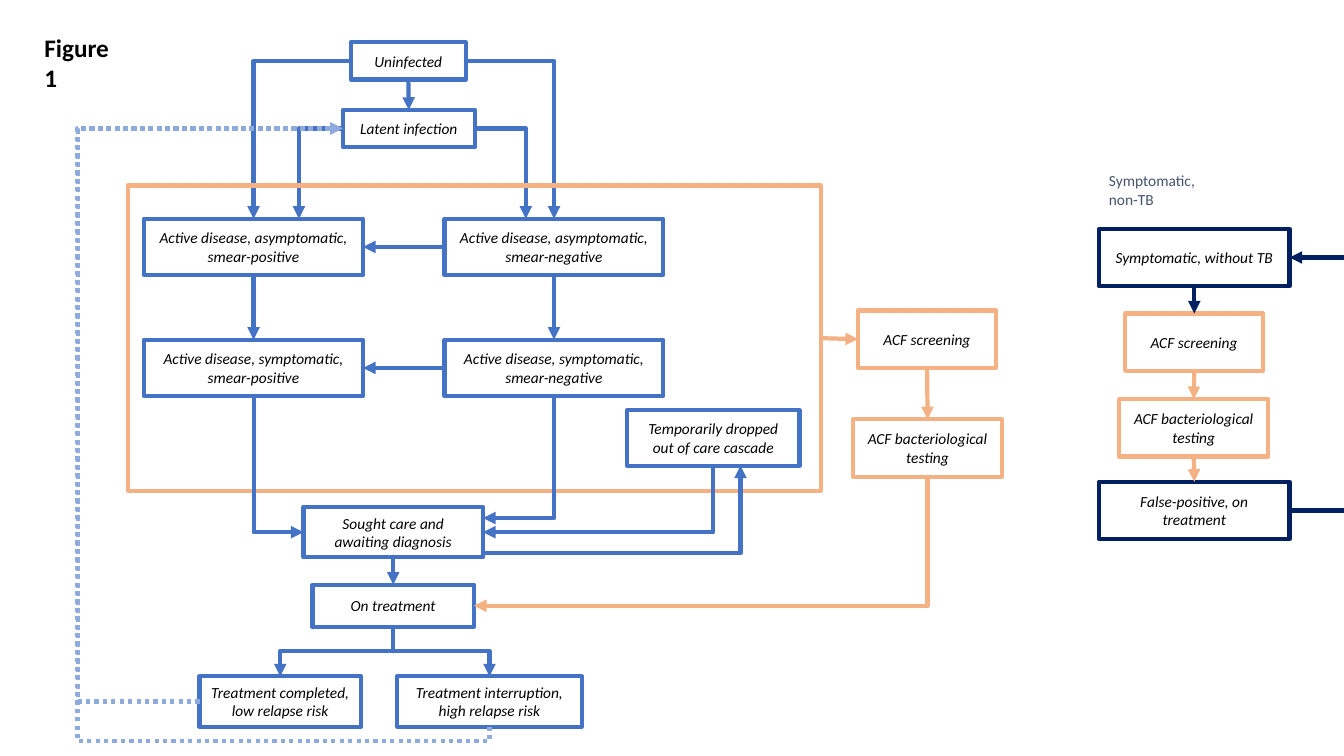
from dataclasses import dataclass
from itertools import pairwise

from lxml.etree import SubElement
from pptx import Presentation
from pptx.dml.color import RGBColor
from pptx.enum.dml import MSO_LINE
from pptx.enum.shapes import MSO_CONNECTOR, MSO_SHAPE
from pptx.enum.text import MSO_ANCHOR, MSO_AUTO_SIZE, PP_ALIGN
from pptx.oxml.ns import qn
from pptx.util import Pt

PX = 9144
TOP, LEFT, BOTTOM, RIGHT = range(4)
SLIDE_WIDTH, SLIDE_HEIGHT = 1333, 750


@dataclass(frozen=True)
class Theme:
    """Colours, font and sizes of the slide."""
    state: str = "4472C4"
    relapse: str = "8FAADC"
    screening: str = "F4B183"
    without_tb: str = "002060"
    text: str = "000000"
    label: str = "44546A"
    font: str = "Calibri"
    body_size: int = 11
    title_size: int = 18
    line_width: int = 3


@dataclass(frozen=True)
class Region:
    """Top left corner of a part of the slide, in px."""
    left: int
    top: int


THEME = Theme()


def write_text(shape, text, *, size=THEME.body_size, color=THEME.text, bold=False,
               italic=False, align=PP_ALIGN.LEFT, anchor=MSO_ANCHOR.TOP, wrap=True):
    """Write text into a shape, one paragraph a line."""
    frame = shape.text_frame
    frame.text = text
    frame.word_wrap = wrap
    frame.vertical_anchor = anchor
    for paragraph in frame.paragraphs:
        paragraph.alignment = align
        font = paragraph.font
        font.name, font.size = THEME.font, Pt(size)
        font.bold, font.italic = bold, italic
        font.color.rgb = RGBColor.from_string(color)


def add_box(slide, region, left, top, width, height, text="", color=THEME.state):
    """Add an outlined box with centred italic text."""
    shape = slide.shapes.add_shape(
        MSO_SHAPE.RECTANGLE, (region.left + left) * PX, (region.top + top) * PX,
        width * PX, height * PX)
    shape.shadow.inherit = False
    shape.fill.background()
    shape.line.color.rgb = RGBColor.from_string(color)
    shape.line.width = Pt(THEME.line_width)
    if text:
        write_text(shape, text, italic=True, align=PP_ALIGN.CENTER, anchor=MSO_ANCHOR.MIDDLE)
    return shape


def side_point(shape, side, shift=0):
    """Return the middle of a side in EMU, shifted along it by px."""
    x, y = shape.left + shape.width // 2, shape.top + shape.height // 2
    if side in (TOP, BOTTOM):
        return x + shift * PX, shape.top + (side == BOTTOM) * shape.height
    return shape.left + (side == RIGHT) * shape.width, y + shift * PX


def format_connector(connector, color, arrow=True, dotted=False):
    """Set the line, arrowhead and empty effects of a connector."""
    connector.line.color.rgb = RGBColor.from_string(color)
    connector.line.width = Pt(THEME.line_width)
    if dotted:
        connector.line.dash_style = MSO_LINE.ROUND_DOT
    if arrow:
        SubElement(connector.line._get_or_add_ln(), qn("a:tailEnd"), type="triangle")
    SubElement(connector._element.spPr, qn("a:effectLst"))


def add_straight(slide, source, source_side, target, target_side):
    """Join the middles of two sides with an arrow in the source's colour."""
    connector = slide.shapes.add_connector(MSO_CONNECTOR.STRAIGHT, 0, 0, 0, 0)
    connector.begin_connect(source, source_side)
    connector.end_connect(target, target_side)
    format_connector(connector, str(source.line.color.rgb))


def add_elbow(slide, source, source_side, target, target_side, *, source_shift=0,
              target_shift=0, rails=(), color=None, dotted=False):
    """Add a bent arrow whose inner legs lie on the given rails in px."""
    start = side_point(source, source_side, source_shift)
    end = side_point(target, target_side, target_shift)
    delta = end[0] - start[0], end[1] - start[1]
    vertical = source_side in (TOP, BOTTOM)
    turn = 1 if delta[0] < 0 else -1
    across, down = (turn * delta[1], -turn * delta[0]) if vertical else delta
    left = (start[0] + end[0] - across) // 2
    top = (start[1] + end[1] - down) // 2
    connector = slide.shapes.add_connector(
        MSO_CONNECTOR.ELBOW, left, top, left + across, top + down)
    properties = connector._element.spPr
    if vertical:
        properties.find(qn("a:xfrm")).set("rot", str(5400000 if turn == 1 else 16200000))
    geometry = properties.find(qn("a:prstGeom"))
    geometry.set("prst", f"bentConnector{len(rails) + 2}")
    adjustments = geometry.find(qn("a:avLst"))
    if adjustments is None:
        adjustments = SubElement(geometry, qn("a:avLst"))
    for index, rail in enumerate(rails):
        axis = (index + vertical) % 2
        share = round(100000 * (rail * PX - start[axis]) / delta[axis])
        SubElement(adjustments, qn("a:gd"), name=f"adj{index + 1}", fmla=f"val {share}")
    format_connector(connector, color or str(source.line.color.rgb), dotted=dotted)


def draw_title(slide):
    """Place and format the figure's title."""
    title = slide.shapes.title
    title.left, title.top, title.width, title.height = (
        value * PX for value in (34, 27, 102, 40))
    write_text(title, "Figure 1", size=THEME.title_size, bold=True, wrap=False)
    title.text_frame.auto_size = MSO_AUTO_SIZE.SHAPE_TO_FIT_TEXT


def draw_disease(slide, region):
    """Draw infection and active disease; return the boxes that lead on."""
    uninfected = add_box(slide, region, 221, 0, 114, 37, "Uninfected")
    latent = add_box(slide, region, 213, 67, 131, 37, "Latent infection")
    (early_positive, early_negative), (late_positive, late_negative) = [
        [add_box(slide, region, 16 + 298 * column, 175 + 120 * row, 217, 56,
                 f"Active disease, {stage}, smear-{smear}")
         for column, smear in enumerate(("positive", "negative"))]
        for row, stage in enumerate(("asymptomatic", "symptomatic"))]
    add_straight(slide, uninfected, BOTTOM, latent, TOP)
    for source, shifts in ((latent, (45, -28)), (uninfected, (0, 0))):
        add_elbow(slide, source, LEFT, early_positive, TOP, target_shift=shifts[0])
        add_elbow(slide, source, RIGHT, early_negative, TOP, target_shift=shifts[1])
    for negative, positive in ((early_negative, early_positive), (late_negative, late_positive)):
        add_straight(slide, negative, LEFT, positive, RIGHT)
    for early, late in ((early_positive, late_positive), (early_negative, late_negative)):
        add_straight(slide, early, BOTTOM, late, TOP)
    frame = add_box(slide, region, 0, 142, 687, 303, color=THEME.screening)
    dropped = add_box(slide, region, 495, 365, 171, 55, "Temporarily dropped out of care cascade")
    return latent, late_positive, late_negative, frame, dropped


def draw_care(slide, region, latent, positive, negative, dropped):
    """Draw diagnosis, treatment and relapse; return the treatment box."""
    sought = add_box(slide, region, 103, 0, 178, 50, "Sought care and awaiting diagnosis")
    treatment = add_box(slide, region, 112, 77, 160, 42, "On treatment")
    completed = add_box(slide, region, 0, 168, 160, 50, "Treatment completed, low relapse risk")
    interrupted = add_box(slide, region, 196, 168, 183, 50,
                          "Treatment interruption, high relapse risk")
    add_elbow(slide, positive, BOTTOM, sought, LEFT)
    add_elbow(slide, negative, BOTTOM, sought, RIGHT, target_shift=-14)
    add_elbow(slide, dropped, BOTTOM, sought, RIGHT)
    add_elbow(slide, sought, RIGHT, dropped, BOTTOM, source_shift=21, target_shift=27)
    add_straight(slide, sought, BOTTOM, treatment, TOP)
    for outcome in (completed, interrupted):
        add_elbow(slide, treatment, BOTTOM, outcome, TOP, rails=(region.top + 143,))
    side_rail, floor_rail = region.left - 121, region.top + 232
    relapse = {"color": THEME.relapse, "dotted": True}
    add_elbow(slide, completed, LEFT, latent, LEFT, rails=(side_rail,), **relapse)
    add_elbow(slide, interrupted, BOTTOM, latent, LEFT, rails=(floor_rail, side_rail), **relapse)
    return treatment


def draw_stack(slide, region, width, steps):
    """Draw centred boxes from top to bottom, joined by arrows."""
    boxes = [add_box(slide, region, (width - step_width) // 2, top, step_width, 57, text, color)
             for text, top, step_width, color in steps]
    for upper, lower in pairwise(boxes):
        add_straight(slide, upper, BOTTOM, lower, TOP)
    return boxes


def draw_screening(slide, region, frame, treatment):
    """Draw active case finding between the disease frame and treatment."""
    screening, testing = draw_stack(slide, region, 148, (
        ("ACF screening", 0, 137, THEME.screening),
        ("ACF bacteriological testing", 108, 148, THEME.screening)))
    add_straight(slide, frame, RIGHT, screening, LEFT)
    add_elbow(slide, testing, BOTTOM, treatment, RIGHT)


def draw_without_tb(slide, region):
    """Draw the path of people with symptoms but without TB."""
    label = slide.shapes.add_textbox(region.left * PX, region.top * PX, 237 * PX, 47 * PX)
    write_text(label, "Symptomatic,\nnon-TB", color=THEME.label)
    boxes = draw_stack(slide, region, 189, (
        ("Symptomatic, without TB", 62, 189, THEME.without_tb),
        ("ACF screening", 146, 137, THEME.screening),
        ("ACF bacteriological testing", 231, 148, THEME.screening),
        ("False-positive, on treatment", 313, 189, THEME.without_tb)))
    for box, returning in ((boxes[0], True), (boxes[-1], False)):
        x, y = side_point(box, RIGHT)
        connector = slide.shapes.add_connector(MSO_CONNECTOR.STRAIGHT, SLIDE_WIDTH * PX, y, x, y)
        (connector.end_connect)(box, RIGHT)
        format_connector(connector, THEME.without_tb, arrow=returning)


def main():
    """Build and save the slide."""
    presentation = Presentation()
    presentation.slide_width, presentation.slide_height = SLIDE_WIDTH * PX, SLIDE_HEIGHT * PX
    slide = presentation.slides.add_slide(presentation.slide_layouts[5])
    draw_title(slide)
    latent, positive, negative, frame, dropped = draw_disease(slide, Region(127, 42))
    treatment = draw_care(slide, Region(198, 503), latent, positive, negative, dropped)
    draw_screening(slide, Region(846, 308), frame, treatment)
    draw_without_tb(slide, Region(1090, 165))
    presentation.save("out.pptx")


if __name__ == "__main__":
    main()
